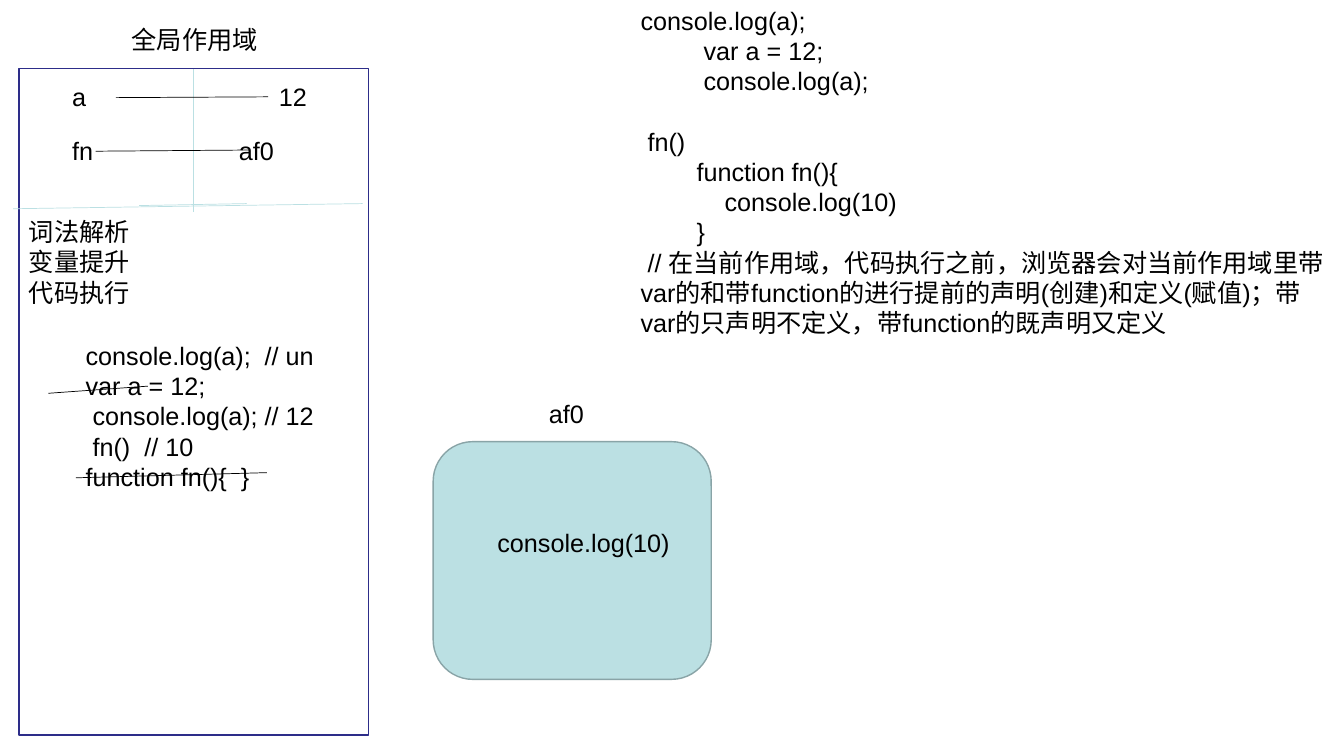
import pptx
import pptx.util
import pptx.dml.color
import pptx.enum.shapes
import pptx.oxml.ns
from dataclasses import dataclass
from lxml import etree
from pptx.util import Cm, Pt


@dataclass(frozen=True)
class Theme:
    font: str = "Arial"
    text_size: float = 18
    line_spacing: float = 21.6
    ink: str = "000000"
    paper: str = "FFFFFF"
    navy: str = "2D2D89"
    aqua: str = "BBE0E3"
    aqua_edge: str = "89A4A7"


theme = Theme()
rgb = pptx.dml.color.RGBColor.from_string
SPACE_WIDTH = Pt(5)  # one space of the text size
ROW_HEIGHT = 0.76

presentation = pptx.Presentation()
presentation.slide_width = Cm(33.88)
presentation.slide_height = Cm(19.05)
slide = presentation.slides.add_slide(presentation.slide_layouts[6])
shapes = slide.shapes


def add_text(left, top, width, lines, rows=None):
    """Place lines of (indent in spaces, text); return their paragraphs."""
    height = 0.25 + ROW_HEIGHT * (rows or len(lines))
    box = shapes.add_textbox(Cm(left), Cm(top), Cm(width), Cm(height))
    frame = box.text_frame
    frame.word_wrap = True
    frame.text = "\n".join(text for _, text in lines)
    for paragraph, (indent, _) in zip(frame.paragraphs, lines):
        paragraph.line_spacing = Pt(theme.line_spacing)
        paragraph.font.name = theme.font
        paragraph.font.size = Pt(theme.text_size)
        paragraph.font.color.rgb = rgb(theme.ink)
        properties = paragraph._p.get_or_add_pPr()
        properties.set("marL", "0")
        properties.set("indent", str(indent * SPACE_WIDTH))
    return frame.paragraphs


# Scope panel and function body
SHAPE = pptx.enum.shapes.MSO_SHAPE
for kind, left, top, width, height, fill, edge in [
    (SHAPE.RECTANGLE, 0.48, 1.73, 8.81, 16.79, theme.paper, theme.navy),
    (SHAPE.ROUNDED_RECTANGLE, 10.92, 11.13, 7.01, 5.99, theme.aqua, theme.aqua_edge),
]:
    panel = shapes.add_shape(kind, Cm(left), Cm(top), Cm(width), Cm(height))
    panel.shadow.inherit = False
    panel.fill.solid()
    panel.fill.fore_color.rgb = rgb(fill)
    panel.line.color.rgb = rgb(edge)
    panel.line.width = Pt(1)

# Dividers in aqua, links and strike-outs in black
for x1, y1, x2, y2, color in [
    (0.33, 5.26, 9.14, 5.13, theme.aqua),
    (4.88, 5.33, 4.88, 1.73, theme.aqua),
    (6.22, 5.13, 3.51, 5.18, theme.aqua),
    (6.76, 2.44, 2.92, 2.46, theme.ink),
    (6.3, 3.78, 2.41, 3.81, theme.ink),
    (1.22, 9.91, 3.73, 9.73, theme.ink),
    (1.91, 12.04, 6.73, 11.91, theme.ink),
]:
    line = shapes.add_connector(
        pptx.enum.shapes.MSO_CONNECTOR.STRAIGHT, Cm(x1), Cm(y1), Cm(x2), Cm(y2)
    )
    line.line.color.rgb = rgb(color)
    line.line.width = Pt(0.5)
    etree.SubElement(line._element.spPr, pptx.oxml.ns.qn("a:effectLst"))

# One-line labels
for left, top, width, text in [
    (3.07, 0.48, 4.2, "全局作用域"),
    (1.57, 1.93, 1, "a"),
    (6.78, 1.93, 1.5, "12"),
    (1.57, 3.28, 1.35, "fn"),
    (5.77, 3.28, 2.59, "af0"),
    (13.59, 9.91, 2.59, "af0"),
    (12.29, 13.16, 5.3, "console.log(10)"),
]:
    add_text(left, top, width, [(0, text)])

add_text(0.48, 5.33, 3.5, [(0, "词法解析"), (0, "变量提升"), (0, "代码执行")])

add_text(1.91, 8.45, 7, [
    (0, "console.log(a);  // un"),
    (0, "var a = 12;"),
    (1, "console.log(a); // 12"),
    (1, "fn()  // 10"),
    (0, "function fn(){  }"),
])

source_code = add_text(15.9, 0, 17.96, [
    (0, "console.log(a);"),
    (9, "var a = 12;"),
    (9, "console.log(a);"),
    (1, "fn()"),
    (8, "function fn(){"),
    (12, "console.log(10)"),
    (8, "}"),
    (1, "// 在当前作用域，代码执行之前，浏览器会对当前作用域里带var的和带function的进行提前的声明"
        "(创建)和定义(赋值)；带var的只声明不定义，带function的既声明又定义"),
], rows=11)
source_code[3].space_before = Pt(theme.line_spacing)

presentation.save("out.pptx")
